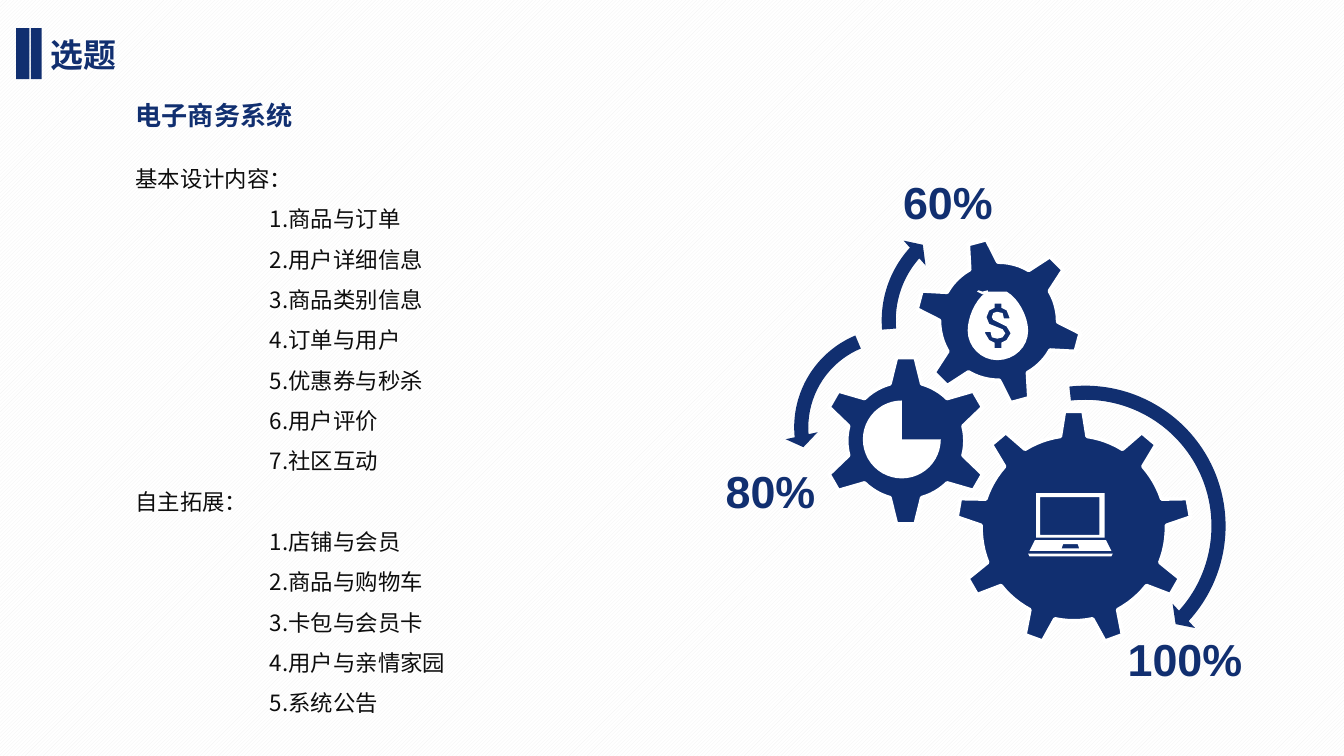
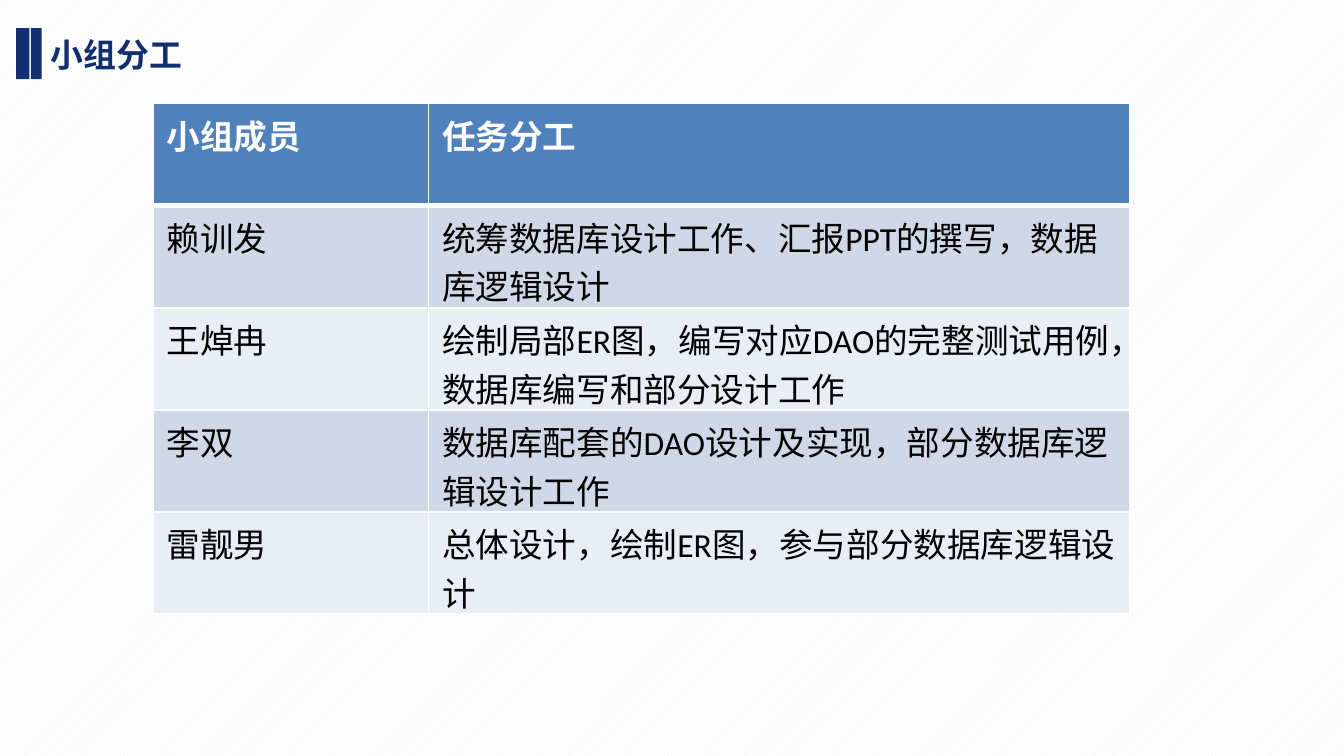
"""Builds a topic slide with meshing gears and a team task table."""
from math import cos, radians, sin

from lxml.etree import SubElement
from pptx import Presentation
from pptx.dml.color import RGBColor
from pptx.enum.dml import MSO_PATTERN
from pptx.enum.shapes import MSO_SHAPE as SHAPE
from pptx.enum.text import MSO_AUTO_SIZE as AUTO
from pptx.oxml import parse_xml
from pptx.oxml.ns import nsdecls, qn
from pptx.util import Inches, Pt

COLORS = {"navy": "112F70", "white": "FFFFFF", "stripe": "F2F2F2", "text": "0D0D0D",
          "black": "000000", "header": "4F81BD", "odd": "D0D8E8", "even": "E9EDF4"}
CJK = "Noto Sans CJK SC"

TITLE_BARS = [(0.12, 0.1), (0.23, 0.08)]
SUBJECT = "电子商务系统"
SECTIONS = [
    ("基本设计内容：", ["商品与订单", "用户详细信息", "商品类别信息", "订单与用户",
                 "优惠券与秒杀", "用户评价", "社区互动"]),
    ("自主拓展：", ["店铺与会员", "商品与购物车", "卡包与会员卡", "用户与亲情家园", "系统公告"]),
]
PERCENTS = [("60%", 6.65, 1.26, 0.83), ("80%", 5.33, 3.41, 0.83), ("100%", 8.32, 4.66, 1.01)]
ARROWS = [
    (SHAPE.CIRCULAR_ARROW, 6.96, 2.8, 2.23, (0.047, 2.99, 25.393, 158.123, 0.055)),
    (SHAPE.LEFT_CIRCULAR_ARROW, 5.84, 2.37, 1.62, (0.065, 4.3, 104.891, 148.378, 0.075)),
    (SHAPE.CIRCULAR_ARROW, 6.49, 1.51, 1.75, (0.06, 3.941, 133.138, 105.082, 0.07)),
]
GEARS = [
    dict(center=(7.99, 3.93), teeth=9, turn=0, tip=(0.87, 0.07), root=(0.69, 0.1)),
    dict(center=(6.74, 3.28), teeth=6, turn=0, tip=(0.62, 0.07), root=(0.44, 0.12)),
    dict(center=(7.43, 2.39), teeth=6, turn=-15, tip=(0.61, 0.07), root=(0.44, 0.11)),
]
LAPTOP = [
    [(7.7, 4.02), (8.23, 4.02), (8.27, 4.1), (7.66, 4.1)],
    [(7.91, 4.05), (8.02, 4.05), (8.03, 4.08), (7.9, 4.08)],
    [(7.71, 3.67), (8.22, 3.67), (8.22, 4), (7.71, 4)],
    [(7.74, 3.7), (8.18, 3.7), (8.18, 3.98), (7.74, 3.98)],
    [(7.65, 4.12), (8.28, 4.12), (8.27, 4.14), (7.66, 4.14)],
]
BAG_TOP = [(7.33, 2.18), (7.31, 2.19), (7.27, 2.17), (7.28, 2.16), (7.31, 2.17),
           (7.35, 2.16), (7.35, 2.17), (7.49, 2.17)]
BAG_CURVES = [((7.58, 2.22), (7.65, 2.36), (7.65, 2.46)),
              ((7.65, 2.58), (7.55, 2.68), (7.42, 2.68)),
              ((7.3, 2.68), (7.2, 2.58), (7.2, 2.46)),
              ((7.2, 2.37), (7.25, 2.24), (7.33, 2.18))]
DOLLAR = [
    (7.49, 2.53), (7.45, 2.55), (7.45, 2.59), (7.4, 2.59), (7.4, 2.55), (7.36, 2.53),
    (7.33, 2.48), (7.33, 2.47), (7.37, 2.47), (7.38, 2.51), (7.42, 2.52), (7.46, 2.51),
    (7.48, 2.48), (7.46, 2.45), (7.41, 2.43), (7.36, 2.41), (7.34, 2.36), (7.36, 2.31),
    (7.4, 2.29), (7.4, 2.26), (7.45, 2.26), (7.45, 2.29), (7.49, 2.31), (7.51, 2.36),
    (7.51, 2.37), (7.47, 2.37), (7.46, 2.33), (7.42, 2.32), (7.39, 2.33), (7.38, 2.36),
    (7.39, 2.38), (7.43, 2.4), (7.49, 2.43), (7.52, 2.48),
]
TASKS = [
    ("小组成员", "任务分工"),
    ("赖训发", "统筹数据库设计工作、汇报PPT的撰写，数据库逻辑设计"),
    ("王焯冉", "绘制局部ER图，编写对应DAO的完整测试用例，数据库编写和部分设计工作"),
    ("李双", "数据库配套的DAO设计及实现，部分数据库逻辑设计工作"),
    ("雷靓男", "总体设计，绘制ER图，参与部分数据库逻辑设计"),
]
TASK_COLS = (2.05, 5.22)
TASK_ROW = 0.76


def rgb(name):
    return RGBColor.from_string(COLORS[name])


def add_run(p, text, size, color, bold=False, font=CJK):
    r = p.add_run()
    r.text = text
    r.font.size, r.font.bold, r.font.name = Pt(size), bold, font
    r.font.color.rgb = rgb(color)
    SubElement(r.font._element, qn("a:ea")).set("typeface", CJK)


def add_box(slide, x, y, w, h, wrap=True):
    tf = slide.shapes.add_textbox(*map(Inches, (x, y, w, h))).text_frame
    tf.word_wrap = wrap
    tf.auto_size = AUTO.SHAPE_TO_FIT_TEXT
    return tf


def paint(sp, fill, line=None):
    sp.shadow.inherit = False
    sp.fill.solid()
    sp.fill.fore_color.rgb = rgb(fill)
    if line:
        sp.line.color.rgb = rgb(line)
        sp.line.width = Pt(2)
    else:
        sp.line.fill.background()
    return sp


def add_preset(slide, kind, x, y, w, h, fill):
    return paint(slide.shapes.add_shape(kind, *map(Inches, (x, y, w, h))), fill)


def add_outline(slide, contours, fill, line=None):
    contours = [[(Inches(x), Inches(y)) for x, y in c] for c in contours]
    builder = slide.shapes.build_freeform(*contours[0][0])
    for i, contour in enumerate(contours):
        if i:
            builder.move_to(*contour[0])
        builder.add_line_segments(contour[1:], close=True)
    paint(builder.convert_to_shape(), fill, line)


def arc(center, radius, start, end, steps):
    angles = [radians(start + (end - start) * i / steps) for i in range(steps + 1)]
    return [(center[0] + radius * cos(a), center[1] + radius * sin(a)) for a in angles]


def curve(a, b, c, d, steps=8):
    ts = [i / steps for i in range(1, steps + 1)]
    return [tuple((1 - t) ** 3 * p + 3 * (1 - t) ** 2 * t * q + 3 * (1 - t) * t * t * r
                  + t ** 3 * s for p, q, r, s in zip(a, b, c, d)) for t in ts]


def gear(center, teeth, turn, tip, root):
    points = []
    pitch = 360 / teeth
    for i in range(teeth):
        middle = turn - 90 + i * pitch
        a = radians(middle)
        for side in (-1, 1):
            radius, half = tip
            points.append((center[0] + radius * cos(a) - side * half * sin(a),
                           center[1] + radius * sin(a) + side * half * cos(a)))
        spread = root[1] / root[0] * 57.3
        points += arc(center, root[0], middle + spread, middle + pitch - spread, 6)
    return points


def bag():
    points = list(BAG_TOP)
    for c1, c2, end in BAG_CURVES:
        points += curve(points[-1], c1, c2, end)
    return points


def new_slide(prs, title):
    slide = prs.slides.add_slide(prs.slide_layouts[6])
    fill = slide.background.fill
    fill.patterned()
    fill.pattern = MSO_PATTERN.LIGHT_UPWARD_DIAGONAL
    fill.fore_color.rgb, fill.back_color.rgb = rgb("stripe"), rgb("white")
    tf = add_box(slide, 0.28, 0.21, 2.42, 0.4)
    add_run(tf.paragraphs[0], title, 17.6, "navy", True)
    for x, w in TITLE_BARS:
        add_preset(slide, SHAPE.RECTANGLE, x, 0.21, w, 0.38, "navy")
    return slide


def add_topics(slide):
    tf = add_box(slide, 0.91, 0.69, 1.38, 0.34, wrap=False)
    add_run(tf.paragraphs[0], SUBJECT, 14, "navy", True)
    lines = []
    for heading, items in SECTIONS:
        lines.append((heading, 0))
        lines += [(f"{n}.{item}", 1) for n, item in enumerate(items, 1)]
    tf = add_box(slide, 0.91, 1.08, 3.9, 4.34)
    for i, (text, indent) in enumerate(lines):
        p = tf.add_paragraph() if i else tf.paragraphs[0]
        p.line_spacing = 1.5
        p._p.get_or_add_pPr().set("marL", str(Inches(indent)))
        add_run(p, text, 12, "text")


def add_gears(slide):
    for kind, x, y, size, values in ARROWS:
        sp = add_preset(slide, kind, x, y, size, size, "navy")
        for i, value in enumerate(values):
            sp.adjustments[i] = value
    for shape in GEARS:
        add_outline(slide, [gear(**shape)], "navy", "white")
    add_outline(slide, LAPTOP, "white")
    pie = (6.71, 3.27)
    add_outline(slide, [[pie] + arc(pie, 0.29, 0, 270, 36)], "white")
    add_outline(slide, [bag(), DOLLAR], "white")
    for text, x, y, w in PERCENTS:
        tf = add_box(slide, x, y, w, 0.48, wrap=False)
        tf.margin_left = tf.margin_right = Inches(0.07)
        tf.margin_top = tf.margin_bottom = Inches(0.04)
        add_run(tf.paragraphs[0], text, 24, "navy", True, "Arial")


def set_borders(cell, widths):
    tcPr = cell._tc.get_or_add_tcPr()
    for i, (side, width) in enumerate(zip("LRTB", widths)):
        tcPr.insert(i, parse_xml(
            f'<a:ln{side} {nsdecls("a")} w="{Pt(width)}"><a:solidFill>'
            f'<a:srgbClr val="{COLORS["white"]}"/></a:solidFill></a:ln{side}>'))


def add_tasks(slide):
    size = (1.14, 0.77, sum(TASK_COLS), TASK_ROW * len(TASKS))
    table = slide.shapes.add_table(len(TASKS), len(TASK_COLS), *map(Inches, size)).table
    for column, w in zip(table.columns, TASK_COLS):
        column.width = Inches(w)
    for i, row in enumerate(TASKS):
        table.rows[i].height = Inches(TASK_ROW)
        fill = "header" if i == 0 else ("even", "odd")[i % 2]
        for j, text in enumerate(row):
            cell = table.cell(i, j)
            cell.fill.solid()
            cell.fill.fore_color.rgb = rgb(fill)
            set_borders(cell, (1, 1, 3 if i == 1 else 1, 3 if i == 0 else 1))
            add_run(cell.text_frame.paragraphs[0], text, 18,
                    "black" if i else "white", i == 0, "Calibri")


def main():
    prs = Presentation()
    prs.slide_width = Inches(10)
    prs.slide_height = prs.slide_width * 9 // 16
    slide = new_slide(prs, "选题")
    add_topics(slide)
    add_gears(slide)
    add_tasks(new_slide(prs, "小组分工"))
    prs.save("out.pptx")


if __name__ == "__main__":
    main()
